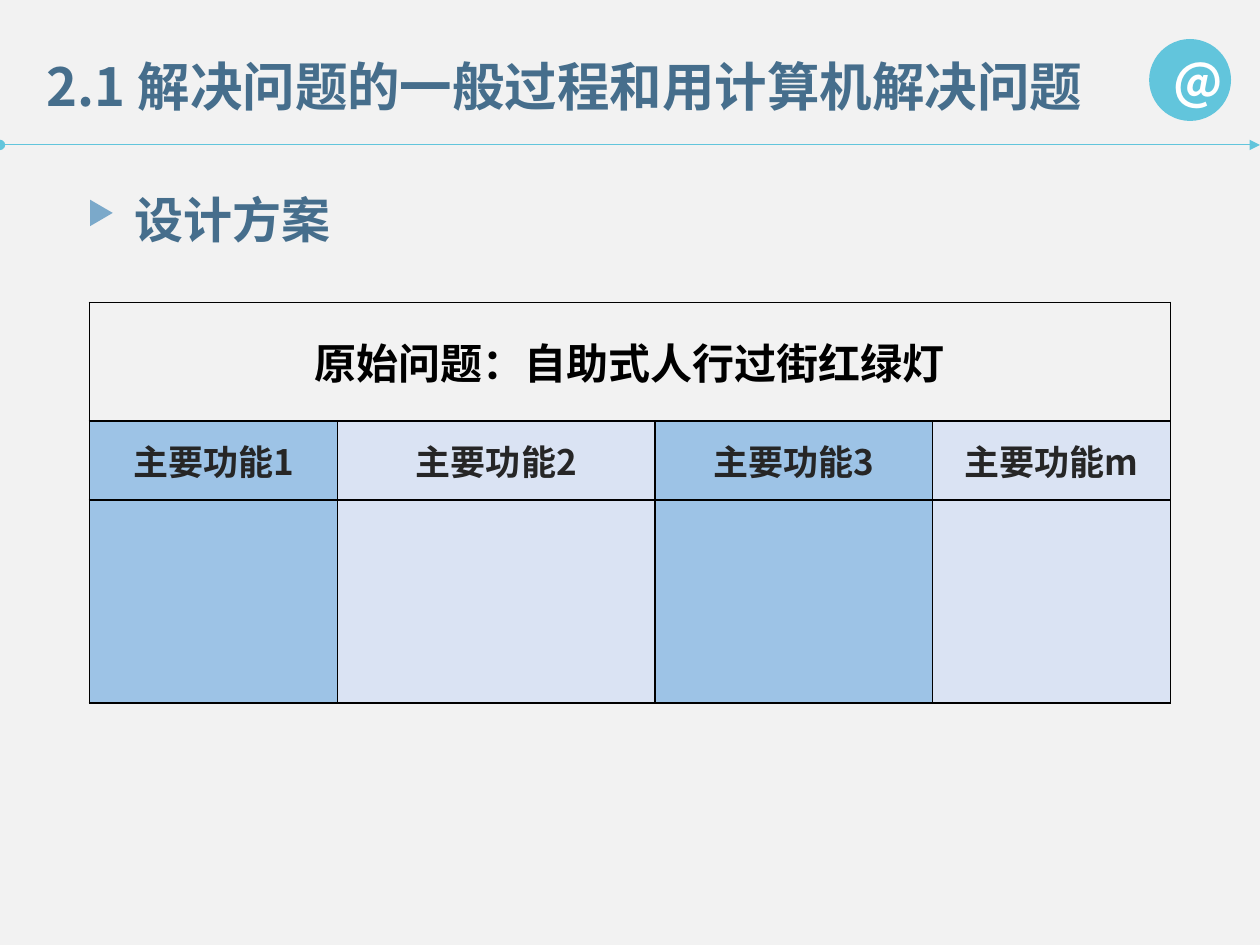
import pptx
import pptx.util
import pptx.dml.color
import pptx.enum.shapes
import pptx.enum.text
import pptx.oxml
import pptx.oxml.ns

Pt = pptx.util.Pt
RGBColor = pptx.dml.color.RGBColor
MIDDLE = pptx.enum.text.MSO_ANCHOR.MIDDLE
CENTER = pptx.enum.text.PP_ALIGN.CENTER
SHAPES = pptx.enum.shapes.MSO_SHAPE

SANS = "Noto Sans CJK SC"
BACKGROUND = RGBColor(0xF2, 0xF2, 0xF2)
TEAL = RGBColor(0x62, 0xC5, 0xDC)
SLATE = RGBColor(0x46, 0x6E, 0x8C)
MARKER_BLUE = RGBColor(0x7B, 0xA9, 0xCA)
WHITE = RGBColor(0xFF, 0xFF, 0xFF)
BLACK = RGBColor(0x00, 0x00, 0x00)
DARK_GREY = RGBColor(0x26, 0x26, 0x26)
COLUMN_FILLS = [RGBColor(0x9D, 0xC3, 0xE6), RGBColor(0xDA, 0xE3, 0xF3)]


def add_xml(parent, tag, content="", attributes=""):
    parent.append(pptx.oxml.parse_xml(
        f'<a:{tag} {pptx.oxml.ns.nsdecls("a")} {attributes}>{content}</a:{tag}>'))


def add_span(para, text, size, color, latin=SANS):
    span = para.add_run()
    span.text = text
    span.font.size = Pt(size)
    span.font.bold = True
    span.font.color.rgb = color
    span.font.name = latin
    add_xml(span.font._element, "ea", attributes=f'typeface="{SANS}"')


deck = pptx.Presentation()
deck.slide_width, deck.slide_height = Pt(720), Pt(540)
page = deck.slides.add_slide(deck.slide_layouts[5])
page.background.fill.solid()
page.background.fill.fore_color.rgb = BACKGROUND

# Rule under the title
rule = page.shapes.add_connector(
    pptx.enum.shapes.MSO_CONNECTOR.STRAIGHT, Pt(0), Pt(82.8), Pt(720), Pt(82.8))
rule.line.color.rgb = TEAL
rule.line.width = Pt(0.5)
add_xml(rule.line._get_or_add_ln(), "headEnd", attributes='type="oval"')
add_xml(rule.line._get_or_add_ln(), "tailEnd", attributes='type="triangle"')
add_xml(rule._element.spPr, "effectLst")

# Round badge and triangular marker
badge = page.shapes.add_shape(SHAPES.OVAL, Pt(656.64), Pt(22.32), Pt(46.8), Pt(46.8))
marker = page.shapes.add_shape(
    SHAPES.ISOSCELES_TRIANGLE, Pt(50.4), Pt(115.2), Pt(15.12), Pt(12.96))
marker.rotation = 90
for shape, color in [(badge, TEAL), (marker, MARKER_BLUE)]:
    shape.shadow.inherit = False
    shape.fill.solid()
    shape.fill.fore_color.rgb = color
    shape.line.fill.background()
badge.text_frame.vertical_anchor = MIDDLE
badge.text_frame.paragraphs[0].alignment = CENTER
add_span(badge.text_frame.paragraphs[0], "@", 28, WHITE)

# Title
title = page.shapes.title
title.left, title.top, title.width, title.height = Pt(19.44), Pt(27.36), Pt(666), Pt(43.2)
title.text_frame.vertical_anchor = MIDDLE
title.text_frame.auto_size = pptx.enum.text.MSO_AUTO_SIZE.NONE
para = title.text_frame.paragraphs[0]
para.alignment = pptx.enum.text.PP_ALIGN.LEFT
add_span(para, "2.1 解决问题的一般过程和用计算机解决问题", 30, SLATE)

# Section heading
heading = page.shapes.add_textbox(Pt(69.84), Pt(97.92), Pt(580.32), Pt(47.52))
heading.text_frame.word_wrap = True
para = heading.text_frame.paragraphs[0]
para.line_spacing = 1.2
add_span(para, "设计方案", 28, SLATE)

# Table: the problem on top, one column per main function
widths = [141.84, 181.44, 158.4, 136.08]
heights = [67.68, 45.36, 115.92]
frame = page.shapes.add_table(
    len(heights), len(widths), Pt(51.12), Pt(172.8), Pt(sum(widths)), Pt(sum(heights)))
table = frame.table
for column, width in zip(table.columns, widths):
    column.width = Pt(width)
for row, height in zip(table.rows, heights):
    row.height = Pt(height)
table.cell(0, 0).merge(table.cell(0, len(widths) - 1))

for row_index in range(len(heights)):
    for column_index in range(len(widths)):
        cell = table.cell(row_index, column_index)
        cell.vertical_anchor = MIDDLE
        cell.margin_left = cell.margin_right = Pt(5.04)
        cell.margin_top = cell.margin_bottom = Pt(0)
        for side in ("lnL", "lnR", "lnT", "lnB"):
            add_xml(cell._tc.get_or_add_tcPr(), side,
                    f'<a:solidFill><a:srgbClr val="{BLACK}"/></a:solidFill>',
                    f'w="{Pt(1)}"')
        if row_index == 0:
            cell.fill.background()
        else:
            cell.fill.solid()
            cell.fill.fore_color.rgb = COLUMN_FILLS[column_index % 2]

para = table.cell(0, 0).text_frame.paragraphs[0]
para.alignment = CENTER
add_span(para, "原始问题：自助式人行过街红绿灯", 24, BLACK, "Calibri")
for column_index, number in enumerate("123m"):
    para = table.cell(1, column_index).text_frame.paragraphs[0]
    para.alignment = CENTER
    add_span(para, f"主要功能{number}", 20, DARK_GREY)

deck.save("out.pptx")
